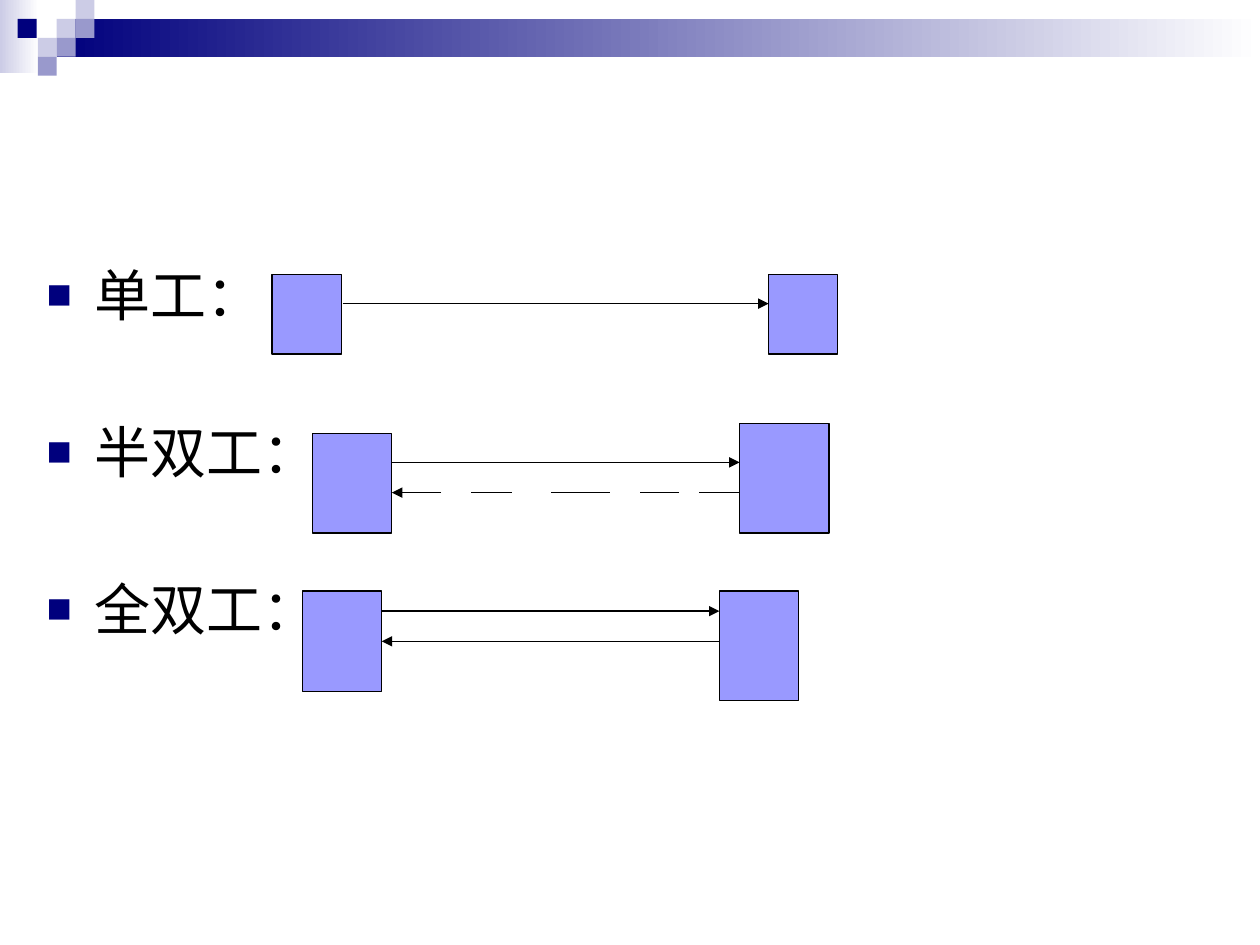
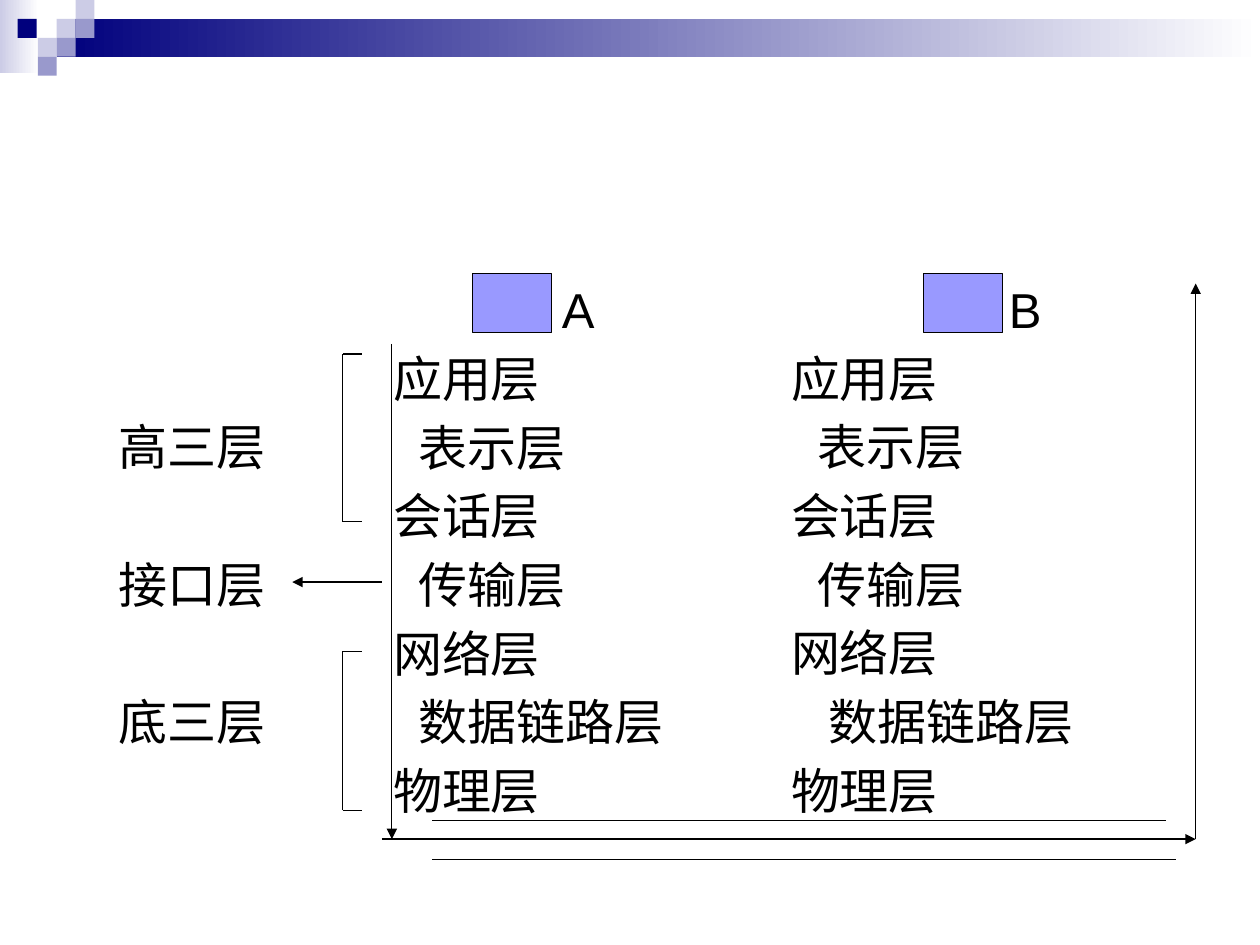
"""Build two slides on transmission modes and network layers."""
from itertools import pairwise

from lxml.etree import SubElement
from pptx import Presentation
from pptx.dml.color import RGBColor
from pptx.enum.shapes import MSO_CONNECTOR as Connector, MSO_SHAPE as Preset
from pptx.enum.text import MSO_ANCHOR as Anchor, MSO_AUTO_SIZE as AutoSize
from pptx.oxml.ns import qn
from pptx.util import Inches, Pt

COLOURS = {
    "navy": "00007D",
    "mist": "CCCCE6",
    "slate": "9999CC",
    "station": "9999FF",
    "ink": "000000",
    "paper": "FFFFFF",
}
FONT = "Arial"
RULE = 0.75
CELL = 0.15


def rgb(name):
    return RGBColor.from_string(COLOURS[name])


def write(paragraph, text, size=28, colour="ink", before=5.6, left=0, hanging=0, bullet=None):
    run = paragraph.add_run()
    run.text = text
    run.font.name, run.font.size = FONT, Pt(size)
    run.font.color.rgb = rgb(colour)
    paragraph.space_before = Pt(before)
    props = paragraph._p.get_or_add_pPr()
    props.set("marL", str(Inches(left)))
    props.set("indent", str(-Inches(hanging)))
    if bullet:
        SubElement(SubElement(props, qn("a:buClr")), qn("a:srgbClr"), val=COLOURS["navy"])
        SubElement(props, qn("a:buSzPct"), val="75000")
        SubElement(props, qn("a:buFont"), typeface=FONT)
        SubElement(props, qn("a:buChar"), char=bullet)
    else:
        SubElement(props, qn("a:buNone"))


class Deck:
    def __init__(self):
        self.show = Presentation()
        self.show.slide_width, self.show.slide_height = Inches(10), Inches(7.5)
        self.layout = self.show.slide_layouts[1]
        self.slide = None

    def new_slide(self):
        self.slide = self.show.slides.add_slide(self.layout)
        title = self.slide.shapes.title.element
        title.getparent().remove(title)

    def rectangle(self, x, y, width, height, fill, fade=False, outlined=False):
        block = self.slide.shapes.add_shape(
            Preset.RECTANGLE, Inches(x), Inches(y), Inches(width), Inches(height))
        block.shadow.inherit = False
        if fade:
            block.fill.gradient()
            block.fill.gradient_angle = 0
            for stop, colour in zip(block.fill.gradient_stops, (fill, "paper")):
                stop.color.rgb = rgb(colour)
        else:
            block.fill.solid()
            block.fill.fore_color.rgb = rgb(fill)
        if outlined:
            block.line.color.rgb = rgb("ink")
            block.line.width = Pt(RULE)
        else:
            block.line.fill.background()
        return block

    def station(self, x, y, width, height):
        return self.rectangle(x, y, width, height, "station", outlined=True)

    def banner(self):
        parts = [
            self.rectangle(0, 0, 0.31, 0.58, "mist", fade=True),
            self.rectangle(0.45, CELL, 9.55, 0.3, "navy", fade=True),
            self.rectangle(0.14, CELL, CELL, CELL, "navy"),
        ]
        mosaic = {"mist": [(3, 1), (4, 0), (2, 2)], "slate": [(4, 1), (3, 2), (2, 3)]}
        for colour, cells in mosaic.items():
            parts += [self.rectangle(col * CELL, row * CELL, CELL, CELL, colour)
                      for col, row in cells]
        for number, part in enumerate(parts, 100):
            part.element.nvSpPr.cNvPr.set("id", str(number))
            self.layout.shapes.element.append(part.element)

    def line(self, start, end, arrow=False):
        rule = self.slide.shapes.add_connector(
            Connector.STRAIGHT, *(Inches(value) for value in (*start, *end)))
        rule.line.color.rgb = rgb("ink")
        rule.line.width = Pt(RULE)
        if arrow:
            SubElement(rule.line._get_or_add_ln(), qn("a:tailEnd"), type="triangle")
        SubElement(rule.element.spPr, qn("a:effectLst"))
        return rule

    def bracket(self, x, top, bottom, depth=0.15):
        corners = [(x + depth, top), (x, top), (x, bottom), (x + depth, bottom)]
        for start, end in pairwise(corners):
            self.line(start, end)

    def body(self, x, y, width, height):
        holder = self.slide.placeholders[1]
        holder.left, holder.top = Inches(x), Inches(y)
        holder.width, holder.height = Inches(width), Inches(height)
        return self.settle(holder.text_frame)

    def column(self, x, y, width, height):
        box = self.slide.shapes.add_textbox(
            Inches(x), Inches(y), Inches(width), Inches(height))
        return self.settle(box.text_frame)

    def settle(self, frame):
        frame.word_wrap = True
        frame.auto_size = AutoSize.NONE
        frame.vertical_anchor = Anchor.TOP
        return frame

    def paragraphs(self, frame, count):
        return [frame.paragraphs[0]] + [frame.add_paragraph() for _ in range(count - 1)]


def transmission_modes(deck):
    modes = ["单工：", "半双工：", "全双工："]
    frame = deck.body(0.27, 2.02, 9.34, 4.59)
    for index, paragraph in enumerate(deck.paragraphs(frame, len(modes))):
        write(paragraph, modes[index], size=32, before=51.2 if index else 6.4,
              left=0.38, hanging=0.38, bullet="■")

    for x in (2.16, 6.1):
        deck.station(x, 2.18, 0.55, 0.63)
    deck.line((2.72, 2.41), (6.1, 2.41), arrow=True)

    deck.station(2.48, 3.44, 0.63, 0.79)
    deck.station(5.87, 3.36, 0.71, 0.87)
    deck.line((3.11, 3.67), (5.87, 3.67), arrow=True)
    dashes = [(5.87, 5.55), (5.39, 5.08), (4.84, 4.37), (4.06, 3.74), (3.5, 3.11)]
    for start, end in dashes:
        deck.line((start, 3.91), (end, 3.91), arrow=(start, end) == dashes[-1])

    duplex_left = deck.station(2.4, 4.69, 0.63, 0.8)
    deck.station(5.71, 4.69, 0.63, 0.87)
    deck.line((3.03, 4.85), (5.71, 4.85), arrow=True)
    reply = deck.line((5.71, 5.09), (3.03, 5.09), arrow=True)
    reply.end_connect(duplex_left, 3)


def network_layers(deck):
    top, height, row_pitch = 2.17, 4.25, 39.2
    layers = ["应用层", "表示层", "会话层", "传输层", "网络层", "数据链路层", "物理层"]
    stacks = [
        ("A", deck.body(3.02, top, 3, height), 1.34, 0.2, 0.2),
        ("B", deck.column(6.18, top, 3, height), 1.73, 0.21, 0.3),
    ]
    for host, frame, host_indent, indent, link_indent in stacks:
        indents = [host_indent, 0, indent, 0, indent, 0, link_indent, 0]
        rows = [host, *layers]
        for paragraph, text, left in zip(deck.paragraphs(frame, len(rows)), rows, indents):
            write(paragraph, text, left=left)

    groups = ["高三层", "接口层", "底三层"]
    frame = deck.column(0.84, top + 2 * row_pitch / 72, 1.6, 2.8)
    for index, paragraph in enumerate(deck.paragraphs(frame, len(groups))):
        write(paragraph, groups[index], before=5.6 + (row_pitch if index else 0))

    for x in (3.75, 7.33):
        deck.station(x, top, 0.63, 0.47)
    deck.line((3.11, 2.73), (3.11, 6.66), arrow=True)
    deck.line((3.03, 6.66), (9.49, 6.66), arrow=True)
    deck.line((9.49, 6.66), (9.49, 2.25), arrow=True)
    for y, end in ((6.51, 9.25), (6.82, 9.33)):
        deck.line((3.43, y), (end, y))
    for upper, lower in ((2.81, 4.14), (5.17, 6.43)):
        deck.bracket(2.72, upper, lower)
    deck.line((3.03, 4.62), (2.32, 4.62), arrow=True)


def main():
    deck = Deck()
    for number, build in enumerate((transmission_modes, network_layers)):
        deck.new_slide()
        if number == 0:
            deck.banner()
        build(deck)
    deck.show.save("out.pptx")


if __name__ == "__main__":
    main()
